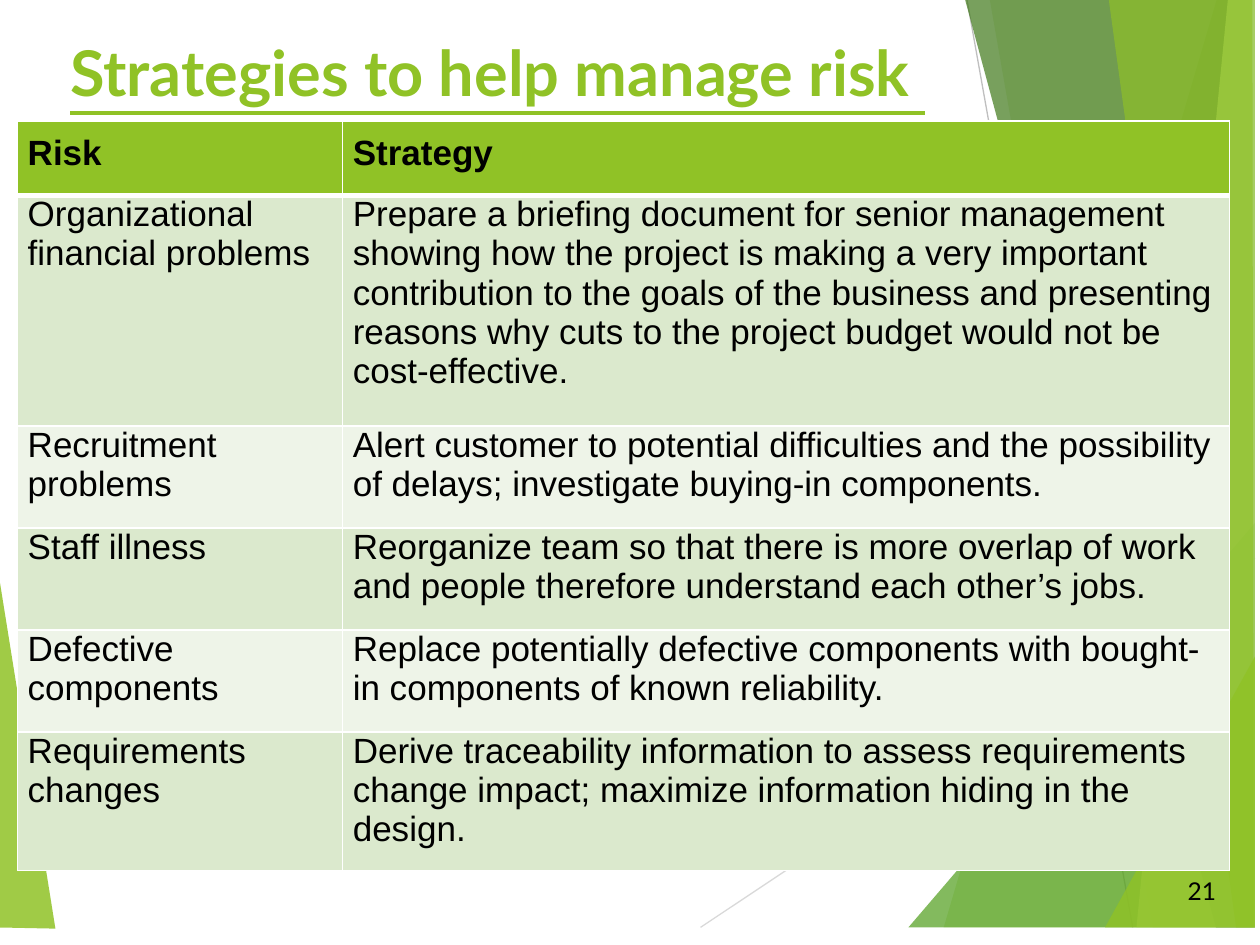
from pptx import Presentation
from pptx.dml.color import RGBColor
from pptx.enum.shapes import MSO_CONNECTOR
from pptx.enum.text import MSO_ANCHOR, PP_ALIGN
from pptx.oxml import parse_xml
from pptx.oxml.ns import nsdecls, qn
from pptx.util import Inches, Pt
from lxml.etree import SubElement

GREEN, BLACK, WHITE = "90C226", "000000", "FFFFFF"
BANDS = "DBE9CD", "EEF4E8"
TOP, BASE, EDGE = -0.15, 7.36, 9.96

SHARDS = [
    (GREEN, 85, [(-0.06, 4.25), (0.44, 7.37), (-0.06, BASE)]),
    (GREEN, 30, [(9.7, TOP), (7.49, BASE), (EDGE, BASE), (EDGE, TOP)]),
    (GREEN, 20, [(7.83, TOP), (9.15, BASE), (EDGE, BASE), (EDGE, TOP)]),
    ("54A021", 72, [(7.21, BASE), (EDGE, 4.15), (EDGE, BASE)]),
    ("3F7819", 70, [(7.62, TOP), (9.65, BASE), (EDGE, BASE), (EDGE, TOP)]),
    ("C0E474", 70, [(9.76, TOP), (9.02, BASE), (EDGE, BASE), (EDGE, TOP)]),
    (GREEN, 65, [(8.78, TOP), (9.81, BASE), (9.95, BASE), (9.94, TOP)]),
    (GREEN, 80, [(8.77, BASE), (EDGE, 5.21), (EDGE, BASE)]),
]
LINES = [
    ("D9D9D9", (5.56, BASE), (EDGE, 4.43)),
    ("BFBFBF", (7.65, -0.14), (8.99, BASE)),
]
COLS = [2.58, 7.04]
ROWS = [0.59, 1.83, 0.81, 0.81, 0.81, 1.03]
RISKS = [
    ("Risk", "Strategy"),
    ("Organizational financial problems",
     "Prepare a briefing document for senior management showing how the "
     "project is making a very important contribution to the goals of the "
     "business and presenting reasons why cuts to the project budget would "
     "not be cost-effective."),
    ("Recruitment problems",
     "Alert customer to potential difficulties and the possibility of "
     "delays; investigate buying-in components."),
    ("Staff illness",
     "Reorganize team so that there is more overlap of work and people "
     "therefore understand each other’s jobs."),
    ("Defective components",
     "Replace potentially defective components with bought-in components "
     "of known reliability."),
    ("Requirements changes",
     "Derive traceability information to assess requirements change "
     "impact; maximize information hiding in the design."),
]


def color(code):
    return RGBColor.from_string(code)


class Deck:
    def __init__(self):
        self.show = Presentation()
        self.show.slide_width = Inches(10)
        self.show.slide_height = Inches(7.5)
        self.slide = self.show.slides.add_slide(self.show.slide_layouts[6])
        self.shapes = self.slide.shapes

    def shard(self, code, alpha, points):
        spots = [(Inches(x), Inches(y)) for x, y in points]
        form = self.shapes.build_freeform(*spots[0])
        form.add_line_segments(spots[1:], close=True)
        shape = form.convert_to_shape()
        shape.shadow.inherit = False
        shape.line.fill.background()
        shape.fill.solid()
        shape.fill.fore_color.rgb = color(code)
        tint = shape._element.spPr.find(".//" + qn("a:srgbClr"))
        SubElement(tint, qn("a:alpha"), val=str(alpha * 1000))

    def line(self, code, start, end):
        ends = [Inches(n) for n in start + end]
        line = self.shapes.add_connector(MSO_CONNECTOR.STRAIGHT, *ends)
        line.line.color.rgb = color(code)
        line.line.width = Pt(0.75)
        SubElement(line._element.spPr, qn("a:effectLst"))

    def fill(self, frame, text, size, code=BLACK, font="Lato", bold=False,
             under=False, align=PP_ALIGN.LEFT):
        frame.word_wrap = True
        para = frame.paragraphs[0]
        para.alignment = align
        run = para.add_run()
        run.text = text
        face = run.font
        face.name, face.size = font, Pt(size)
        face.bold, face.underline = bold, under
        face.color.rgb = color(code)

    def text(self, place, text, size, anchor=MSO_ANCHOR.TOP, **style):
        box = self.shapes.add_textbox(*[Inches(n) for n in place])
        box.text_frame.vertical_anchor = anchor
        self.fill(box.text_frame, text, size, **style)

    def border(self, cell, head):
        props = cell._tc.get_or_add_tcPr()
        for side in "LRTB":
            width = Pt(3 if head and side == "B" else 1)
            props.append(parse_xml(
                f'<a:ln{side} {nsdecls("a")} w="{width}"><a:solidFill>'
                f'<a:srgbClr val="{WHITE}"/></a:solidFill></a:ln{side}>'))

    def table(self, left, top, cols, rows, data):
        spots = [Inches(n) for n in (left, top, sum(cols), sum(rows))]
        table = self.shapes.add_table(len(rows), len(cols), *spots).table
        for col, width in zip(table.columns, cols):
            col.width = Inches(width)
        for i, (row, height) in enumerate(zip(table.rows, rows)):
            row.height = Inches(height)
            head = i == 0
            for j, (cell, text) in enumerate(zip(row.cells, data[i])):
                self.border(cell, head)
                cell.fill.solid()
                cell.fill.fore_color.rgb = color(
                    GREEN if head else BANDS[(i - 1) % 2])
                cell.margin_left = cell.margin_right = Inches(0.08)
                cell.margin_top = Inches(0.1 if head else 0)
                cell.margin_bottom = Inches(0.1)
                align = PP_ALIGN.JUSTIFY if head and j else PP_ALIGN.LEFT
                self.fill(cell.text_frame, text, 20, font="Arial",
                          bold=head, align=align)


def main():
    deck = Deck()
    deck.shard(*SHARDS[0])
    for line in LINES:
        deck.line(*line)
    for shard in SHARDS[1:]:
        deck.shard(*shard)
    deck.text((0.46, 0.22, 8.41, 0.81), "Strategies to help manage risk ",
              36, code=GREEN, bold=True, under=True)
    deck.table(0.14, 0.96, COLS, ROWS, RISKS)
    deck.text((9.19, 6.87, 0.56, 0.4), "21", 14,
              anchor=MSO_ANCHOR.MIDDLE, align=PP_ALIGN.RIGHT)
    deck.show.save("out.pptx")


if __name__ == "__main__":
    main()
